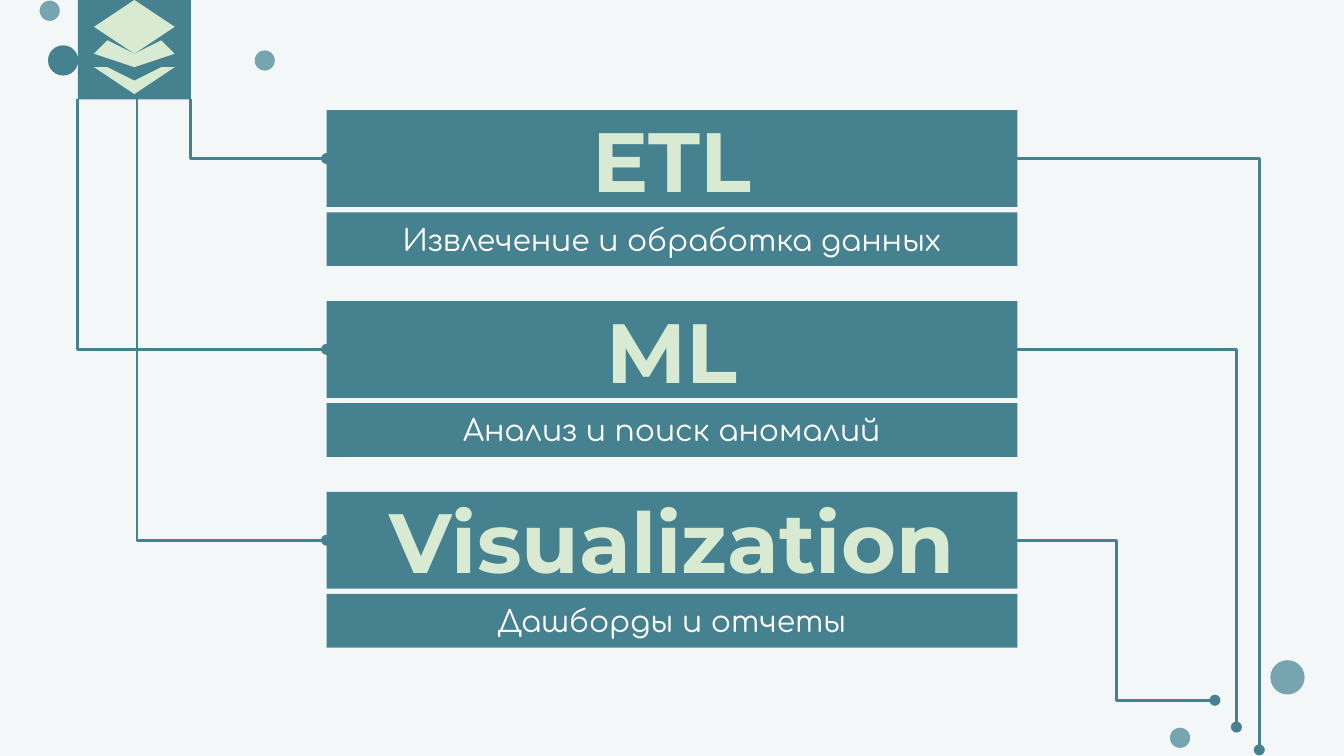
from lxml import etree
from pptx import Presentation
from pptx.dml.color import RGBColor
from pptx.enum.shapes import MSO_CONNECTOR, MSO_SHAPE
from pptx.enum.text import MSO_ANCHOR, PP_ALIGN
from pptx.oxml.ns import qn
from pptx.util import Inches, Pt

RECTANGLE, OVAL = MSO_SHAPE.RECTANGLE, MSO_SHAPE.OVAL
ELBOW = MSO_CONNECTOR.ELBOW
MIDDLE, CENTER = MSO_ANCHOR.MIDDLE, PP_ALIGN.CENTER
TEAL, LIGHT_TEAL, MINT, WHITE, PALE = "45818E", "76A5AF", "D9EAD3", "FFFFFF", "F3F7F8"

presentation = Presentation()
presentation.slide_width = Inches(10)
presentation.slide_height = Inches(5.625)
slide = presentation.slides.add_slide(presentation.slide_layouts[6])

# Grid of square cells: 100 columns across the slide
CELL = presentation.slide_width // 100


def color(hex_string):
    return RGBColor.from_string(hex_string)


def paint(shape, fill):
    shape.shadow.inherit = False
    shape.fill.solid()
    shape.fill.fore_color.rgb = color(fill)
    shape.line.fill.background()


slide.background.fill.solid()
slide.background.fill.fore_color.rgb = color(PALE)

# Scattered dots: centre column, centre row, diameter, fill
for column, row, diameter, fill in [
    (87.8, 54.9, 1.5, LIGHT_TEAL),
    (95.8, 50.4, 2.55, LIGHT_TEAL),
    (4.7, 4.5, 2.25, TEAL),
    (19.7, 4.5, 1.5, LIGHT_TEAL),
    (3.7, 0.8, 1.5, LIGHT_TEAL),
]:
    left, top = column - diameter / 2, row - diameter / 2
    dot = slide.shapes.add_shape(
        OVAL, *(int(cells * CELL) for cells in (left, top, diameter, diameter)))
    paint(dot, fill)

# Three stages: a title bar with a caption bar under it
BAR_LEFT, BAR_WIDTH = 24.3, 51.4
BAR_RIGHT = BAR_LEFT + BAR_WIDTH
FIRST_ROW, STAGE_STEP = 8.2, 14.2
TITLE_FORMAT = {"size": Pt(45), "name": "Montserrat", "bold": True}
CAPTION_FORMAT = {"size": Pt(16), "name": "Comfortaa", "bold": False}
stages = [
    ("ETL", "Извлечение и обработка данных"),
    ("ML", "Анализ и поиск аномалий"),
    ("Visualization", "Дашборды и отчеты"),
]
for index, (title, caption) in enumerate(stages):
    stage_row = FIRST_ROW + index * STAGE_STEP
    for text, row, height, text_color, text_format in [
        (title, stage_row, 7.2, MINT, TITLE_FORMAT),
        (caption, stage_row + 7.6, 4, WHITE, CAPTION_FORMAT),
    ]:
        bar = slide.shapes.add_shape(
            RECTANGLE, *(int(cells * CELL) for cells in (BAR_LEFT, row, BAR_WIDTH, height)))
        paint(bar, TEAL)
        frame = bar.text_frame
        frame.word_wrap = True
        frame.vertical_anchor = MIDDLE
        for side in ("left", "top", "right", "bottom"):
            setattr(frame, f"margin_{side}", Inches(0.1))
        paragraph = frame.paragraphs[0]
        paragraph.alignment = CENTER
        run = paragraph.add_run()
        run.text = text
        run.font.color.rgb = color(text_color)
        for attribute, value in text_format.items():
            setattr(run.font, attribute, value)

# Elbow lines leave each title bar on both sides; the dot sits at the bar
# on the left and at the far end on the right
ICON_LEFT, ICON_WIDTH, ICON_BOTTOM = 5.8, 8.4, 7.4
routes = [
    (0, BAR_LEFT, ICON_LEFT + ICON_WIDTH, ICON_BOTTOM, "bentConnector2", "headEnd"),
    (1, BAR_LEFT, ICON_LEFT, ICON_BOTTOM, "bentConnector2", "headEnd"),
    (2, BAR_LEFT, 10.2, ICON_BOTTOM, "bentConnector2", "headEnd"),
    (0, BAR_RIGHT, 93.7, 55.8, "bentConnector2", "tailEnd"),
    (1, BAR_RIGHT, 92, 54.1, "bentConnector2", "tailEnd"),
    (2, BAR_RIGHT, 90.4, 52.1, "bentConnector3", "tailEnd"),
]
for index, start_column, end_column, end_row, bend, dotted_end in routes:
    start_row = FIRST_ROW + index * STAGE_STEP + 3.6
    connector = slide.shapes.add_connector(
        ELBOW, *(int(cells * CELL) for cells in (start_column, start_row, end_column, end_row)))
    connector.line.color.rgb = color(TEAL)
    connector.line.width = Pt(1.5)
    properties = connector._element.spPr
    properties.find(qn("a:prstGeom")).set("prst", bend)
    etree.SubElement(properties.find(qn("a:ln")), qn(f"a:{dotted_end}"), type="oval")
    etree.SubElement(properties, qn("a:effectLst"))

# Layers icon on its square, cut by the top edge of the slide
icon_square = slide.shapes.add_shape(
    RECTANGLE, *(int(cells * CELL) for cells in (ICON_LEFT, 0, ICON_WIDTH, ICON_BOTTOM)))
paint(icon_square, TEAL)

sheet = [(10, 0.4), (6.8, 2), (10, 3.5), (13.2, 2)]
chevron = [(7.9, 3), (6.8, 3.5), (10, 5), (13.2, 3.5), (12.2, 3), (10, 4)]
lower_chevron = [(column, row + 1.55) for column, row in chevron]
for outline in (sheet, chevron, lower_chevron):
    builder = slide.shapes.build_freeform(*outline[0], scale=CELL)
    builder.add_line_segments(outline[1:], close=True)
    paint(builder.convert_to_shape(), MINT)

presentation.save("out.pptx")
